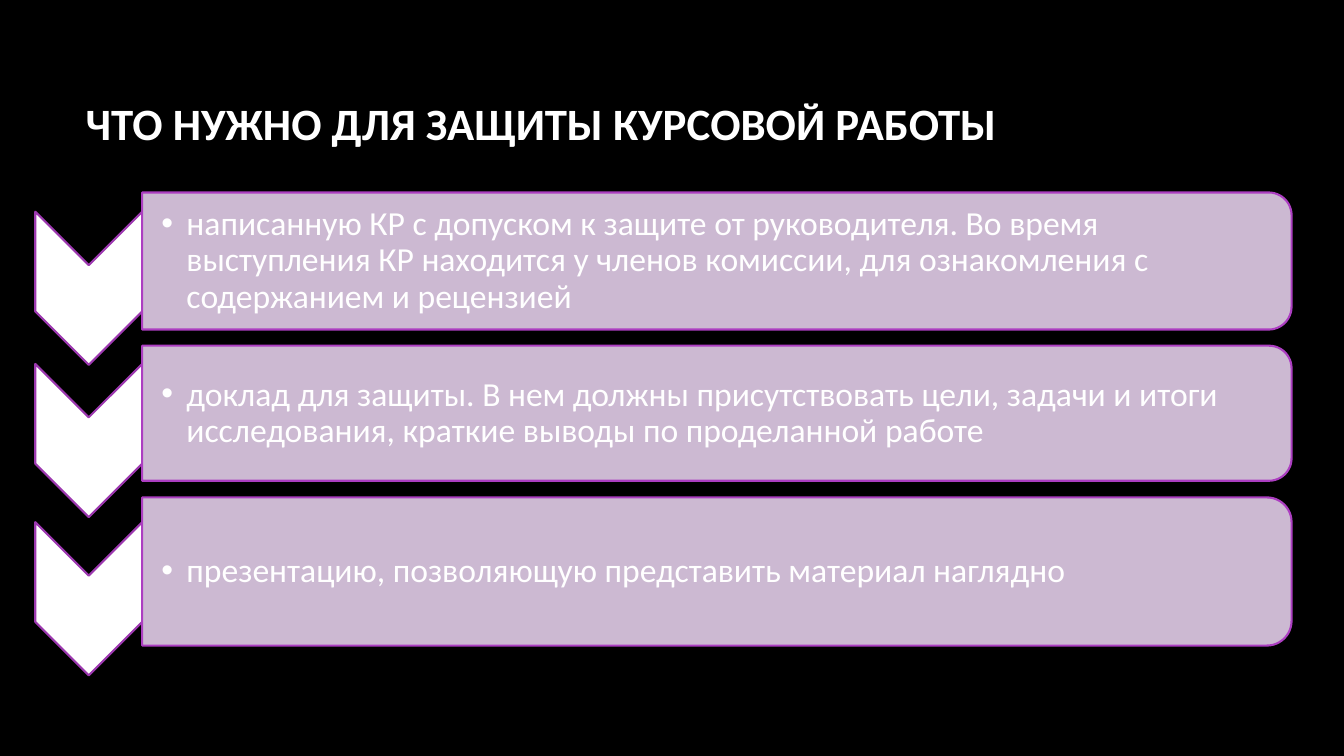
from lxml import etree
from pptx import Presentation
from pptx.dml.color import RGBColor
from pptx.enum import shapes, text
from pptx.oxml import ns
from pptx.util import Inches, Pt

BLACK = RGBColor(0x00, 0x00, 0x00)
WHITE = RGBColor(0xFF, 0xFF, 0xFF)
LILAC = RGBColor(0xE3, 0xCE, 0xE9)
PURPLE = RGBColor(0x9C, 0x38, 0xAF)
VIOLET = RGBColor(0xAC, 0x3E, 0xC1)

PANEL_LEFT, PANEL_WIDTH = 1.41, 11.4
CHEVRON_LENGTH, CHEVRON_WIDTH = 1.52, 1.06
CHEVRON_CENTER, CHEVRON_DROP = 0.88, 0.27

TITLE = "ЧТО НУЖНО ДЛЯ ЗАЩИТЫ КУРСОВОЙ РАБОТЫ"
ROWS = [
    (2.59, 1.36, "написанную КР с допуском к защите от руководителя. Во время "
                 "выступления КР находится у членов комиссии, для ознакомления "
                 "с содержанием и рецензией"),
    (4.1, 1.34, "доклад для защиты. В нем должны присутствовать цели, задачи и "
                "итоги исследования, краткие выводы по проделанной работе"),
    (5.67, 1.47, "презентацию, позволяющую представить материал наглядно"),
]


def write(tf, content, size=24, bold=False, color=WHITE, font="Calibri"):
    tf.word_wrap = True
    tf.vertical_anchor = text.MSO_ANCHOR.MIDDLE
    p = tf.paragraphs[0]
    p.alignment = text.PP_ALIGN.LEFT
    p.line_spacing = 0.9
    r = p.add_run()
    r.text = content
    r.font.size, r.font.bold, r.font.name = Pt(size), bold, font
    r.font.color.rgb = color
    return p


def add_bullet(p, indent=0.25):
    pPr = p._p.get_or_add_pPr()
    pPr.set("marL", str(Inches(indent)))
    pPr.set("indent", str(-Inches(indent)))
    etree.SubElement(pPr, ns.qn("a:buFont")).set("typeface", "Arial")
    etree.SubElement(pPr, ns.qn("a:buChar")).set("char", "•")


def add_turned(s, kind, cx, cy, length, width, fill, line):
    sp = s.shapes.add_shape(kind, Inches(cx - length / 2), Inches(cy - width / 2),
                            Inches(length), Inches(width))
    sp.rotation = 90
    sp.shadow.inherit = False
    sp.fill.solid()
    sp.fill.fore_color.rgb = fill
    sp.line.color.rgb = line
    sp.line.width = Pt(1.5)
    return sp


def set_opacity(sp, percent):
    clr = sp._element.spPr.find(ns.qn("a:solidFill"))[0]
    etree.SubElement(clr, ns.qn("a:alpha")).set("val", str(percent * 1000))


def add_row(s, cy, height, content):
    add_turned(s, shapes.MSO_SHAPE.CHEVRON, CHEVRON_CENTER, cy + CHEVRON_DROP,
               CHEVRON_LENGTH, CHEVRON_WIDTH, WHITE, PURPLE)
    panel = add_turned(s, shapes.MSO_SHAPE.ROUND_2_SAME_RECTANGLE,
                       PANEL_LEFT + PANEL_WIDTH / 2, cy, height, PANEL_WIDTH,
                       LILAC, VIOLET)
    set_opacity(panel, 90)
    box_height = height - 0.13
    tb = s.shapes.add_textbox(Inches(PANEL_LEFT), Inches(cy - box_height / 2),
                              Inches(PANEL_WIDTH - 0.06), Inches(box_height))
    tf = tb.text_frame
    tf.margin_left = Inches(0.19)
    tf.margin_top = tf.margin_right = tf.margin_bottom = Inches(0.02)
    add_bullet(write(tf, content))


def add_title(s):
    title = s.shapes.title
    title.left, title.top = Inches(0.75), Inches(0.67)
    title.width, title.height = Inches(11.08), Inches(1.15)
    write(title.text_frame, TITLE, size=32, bold=True)


def main():
    prs = Presentation()
    prs.slide_width, prs.slide_height = Inches(13.33), Inches(7.5)
    s = prs.slides.add_slide(prs.slide_layouts[5])
    s.background.fill.solid()
    s.background.fill.fore_color.rgb = BLACK
    add_title(s)
    for cy, height, content in ROWS:
        add_row(s, cy, height, content)
    prs.save("out.pptx")


if __name__ == "__main__":
    main()
